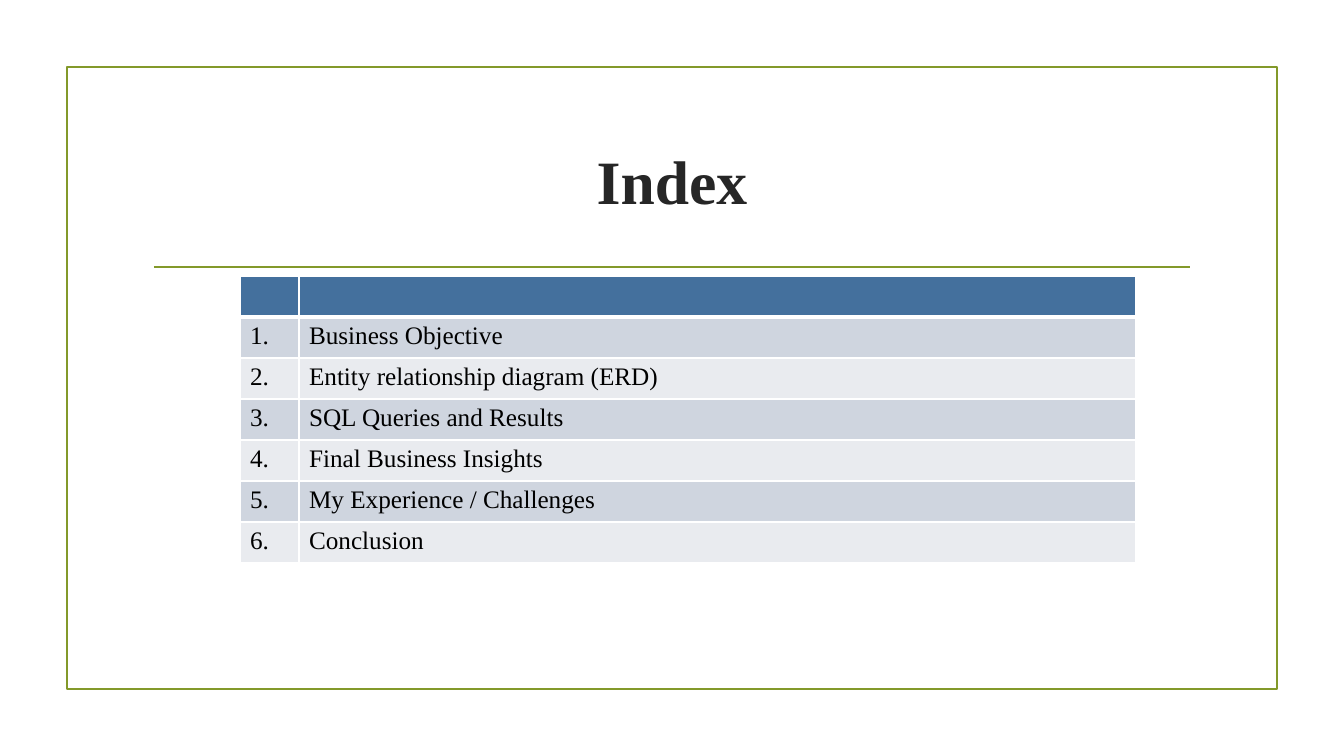
from dataclasses import dataclass

from lxml.etree import SubElement
from pptx import Presentation
from pptx.dml.color import RGBColor
from pptx.enum.shapes import MSO_CONNECTOR, MSO_SHAPE
from pptx.enum.text import MSO_ANCHOR, PP_ALIGN
from pptx.oxml.ns import qn
from pptx.util import Emu, Pt

SCALE = 914400 / 100.8  # EMU in one px
FONT = "Times New Roman"
GREEN, DARK, BLACK, WHITE = "83992A", "262626", "000000", "FFFFFF"
HEAD, BANDS = "44709D", ("CFD5DF", "E9EBEF")
COLS, ROW = (59, 837), 41


@dataclass(frozen=True)
class Box:
    left: int
    top: int
    width: int
    height: int

    def emu(self) -> tuple[Emu, ...]:
        return tuple(px(n) for n in (self.left, self.top, self.width, self.height))


@dataclass(frozen=True)
class Row:
    cells: tuple[str, ...]
    fill: str
    top: int = 1
    bottom: int = 1


TOPICS = (
    "Business Objective",
    "Entity relationship diagram (ERD)",
    "SQL Queries and Results",
    "Final Business Insights",
    "My Experience / Challenges",
    "Conclusion",
)
ROWS = [Row(("", ""), HEAD, bottom=3)] + [
    Row((f"{i + 1}.", topic), BANDS[i % 2], top=1 if i else 3)
    for i, topic in enumerate(TOPICS)
]


def px(n: int) -> Emu:
    return Emu(round(n * SCALE))


def color(code: str) -> RGBColor:
    return RGBColor.from_string(code)


def add_run(para, text: str, size: int, code: str, bold: bool = False) -> None:
    run = para.add_run()
    run.text = text
    run.font.name, run.font.size, run.font.bold = FONT, Pt(size), bold
    run.font.color.rgb = color(code)


def set_line(item) -> None:
    item.line.color.rgb = color(GREEN)
    item.line.width = Pt(1.25)


def draw_frame(slide, box: Box) -> None:
    frame = slide.shapes.add_shape(MSO_SHAPE.RECTANGLE, *box.emu())
    frame.shadow.inherit = False
    frame.fill.background()
    set_line(frame)


def draw_rule(slide, left: int, right: int, y: int) -> None:
    rule = slide.shapes.add_connector(
        MSO_CONNECTOR.STRAIGHT, px(left), px(y), px(right), px(y))
    set_line(rule)
    SubElement(rule._element.spPr, qn("a:effectLst"))


def draw_title(slide, box: Box, text: str) -> None:
    frame = slide.shapes.add_textbox(*box.emu()).text_frame
    frame.word_wrap = True
    frame.vertical_anchor = MSO_ANCHOR.MIDDLE
    para = frame.paragraphs[0]
    para.alignment = PP_ALIGN.CENTER
    add_run(para, text, 44, DARK, bold=True)


def set_edges(cell, row: Row) -> None:
    props = cell._tc.get_or_add_tcPr()
    widths = {"lnL": 1, "lnR": 1, "lnT": row.top, "lnB": row.bottom}
    for tag, width in widths.items():
        edge = SubElement(props, qn(f"a:{tag}"), w=str(Pt(width)))
        fill = SubElement(edge, qn("a:solidFill"))
        SubElement(fill, qn("a:srgbClr"), val=WHITE)


def draw_table(slide, left: int, top: int, rows: list[Row]) -> None:
    box = Box(left, top, sum(COLS), ROW * len(rows))
    table = slide.shapes.add_table(len(rows), len(COLS), *box.emu()).table
    for col, width in zip(table.columns, COLS):
        col.width = px(width)
    for line, row in zip(table.rows, rows):
        line.height = px(ROW)
        for cell, text in zip(line.cells, row.cells):
            set_edges(cell, row)
            cell.fill.solid()
            cell.fill.fore_color.rgb = color(row.fill)
            if text:
                add_run(cell.text_frame.paragraphs[0], text, 18, BLACK)


def main() -> None:
    deck = Presentation()
    deck.slide_width, deck.slide_height = px(1344), px(756)
    slide = deck.slides.add_slide(deck.slide_layouts[6])

    # Border and title rule
    draw_frame(slide, Box(67, 67, 1210, 622))
    draw_rule(slide, 154, 1190, 267)

    # Title
    draw_title(slide, Box(143, 108, 1058, 144), "Index")

    # Table of topics
    draw_table(slide, 240, 276, ROWS)

    deck.save("out.pptx")


if __name__ == "__main__":
    main()
